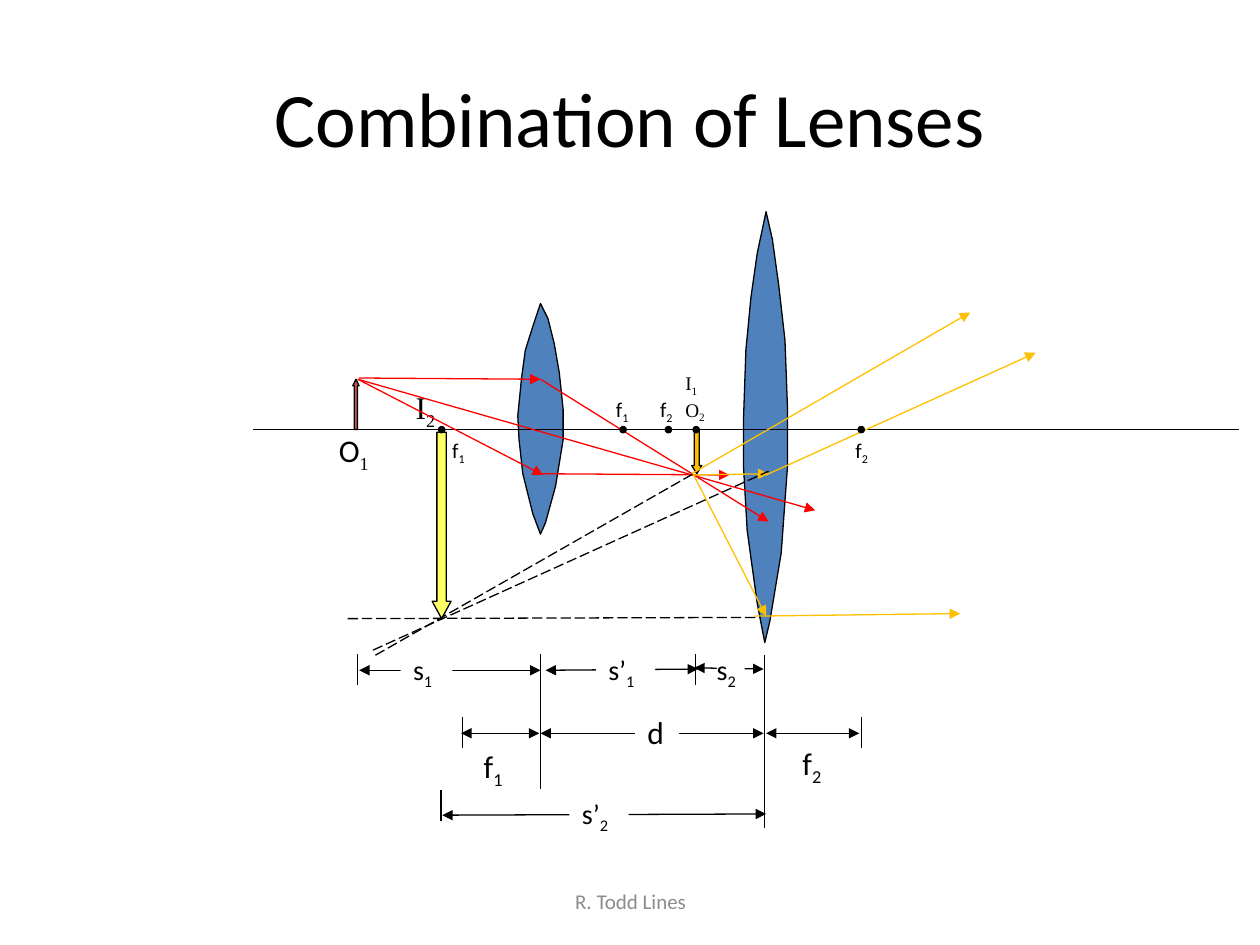
from pptx import Presentation
from pptx import util as u
from pptx.dml.color import RGBColor
from pptx.enum import dml, shapes, text
from pptx.oxml import ns
from lxml import etree

COLUMNS, ROWS = 100, 75
BLACK, WHITE, GREY = "000000", "FFFFFF", "8C8C8C"
RED, ORANGE, YELLOW = "FF0000", "FFC000", "FFFF66"
BROWN, BLUE = "C0504D", "4F81BD"
SANS, SERIF = "Calibri", "Times New Roman"
AXIS = 34.1


def color(value):
    return RGBColor.from_string(value)


class Diagram:
    """Draws on one slide; every length is in columns and rows of its grid."""

    def __init__(self, presentation):
        self.column = presentation.slide_width / COLUMNS
        self.row = presentation.slide_height / ROWS
        self.slide = presentation.slides.add_slide(presentation.slide_layouts[6])
        self.shapes = self.slide.shapes

    def place(self, *lengths):
        """Turn alternating columns and rows into slide units."""
        units = (self.column, self.row)
        return [u.Emu(round(length * units[i % 2])) for i, length in enumerate(lengths)]

    def outline(self, line, value=BLACK):
        line.color.rgb = color(value)
        line.width = u.Pt(0.75)

    def paint(self, shape, fill, outlined=True):
        shape.shadow.inherit = False
        shape.fill.solid()
        shape.fill.fore_color.rgb = color(fill)
        if outlined:
            self.outline(shape.line)
        else:
            shape.line.fill.background()
        return shape

    def preset(self, kind, box, fill, outlined=True):
        return self.paint(self.shapes.add_shape(kind, *self.place(*box)), fill, outlined)

    def arrow(self, kind, box, fill, head):
        self.preset(kind, box, fill).adjustments[1] = head

    def dot(self, x):
        self.preset(shapes.MSO_SHAPE.OVAL, (x - 0.25, AXIS - 0.25, 0.5, 0.5), BLACK)

    def lens(self, points):
        corners = [self.place(*point) for point in points]
        builder = self.shapes.build_freeform(*corners[0])
        builder.add_line_segments(corners[1:], close=True)
        self.paint(builder.convert_to_shape(), BLUE)

    def line(self, ends, value=BLACK, arrows=(), dashed=False):
        """arrows holds "headEnd" for the start and "tailEnd" for the finish."""
        connector = self.shapes.add_connector(
            shapes.MSO_CONNECTOR.STRAIGHT, *self.place(*ends))
        self.outline(connector.line, value)
        if dashed:
            connector.line.dash_style = dml.MSO_LINE.LONG_DASH
        properties = connector.element.spPr
        for end in arrows:
            etree.SubElement(properties.find(ns.qn("a:ln")), ns.qn("a:" + end), type="triangle")
        etree.SubElement(properties, ns.qn("a:effectLst"))

    def ray(self, *ends, value):
        self.line(ends, value, ["tailEnd"])

    def dimension(self, *ends):
        self.line(ends, arrows=["headEnd", "tailEnd"])

    def label(self, content, box, size, font=SANS, subscript_font=None, value=BLACK,
              fill=None, wrap=False, centered=False):
        """Write content, where the character after each "_" is a subscript."""
        shape = self.shapes.add_textbox(*self.place(*box))
        if fill:
            self.paint(shape, fill, outlined=False)
        frame = shape.text_frame
        frame.word_wrap = wrap
        paragraph = frame.paragraphs[0]
        if centered:
            frame.vertical_anchor = text.MSO_ANCHOR.MIDDLE
            paragraph.alignment = text.PP_ALIGN.CENTER
        paragraph.font.size = u.Pt(size)
        paragraph.font.name = font
        paragraph.font.color.rgb = color(value)
        first, *rest = content.split("_")
        paragraph.add_run().text = first
        for piece in rest:
            subscript = paragraph.add_run()
            subscript.text = piece[0]
            subscript.font._element.set("baseline", "-25000")
            if subscript_font:
                subscript.font.name = subscript_font
            if piece[1:]:
                paragraph.add_run().text = piece[1:]


def draw_lenses(diagram):
    diagram.lens([
        (60.8, 16.8), (60.1, 20.1), (59.6, 23.6), (59.2, 27.8), (59, 33.5), (59, 36.9),
        (59.3, 42.1), (60.1, 47.9), (60.7, 51), (61.1, 49.3), (62, 43.9), (62.5, 37),
        (62.5, 32.4), (62.3, 27), (61.8, 22.6), (61.3, 19)])
    diagram.lens([
        (42.9, 24.1), (42.3, 25.9), (41.7, 27.8), (41.4, 30), (41.1, 33), (41.2, 34.9),
        (41.5, 37.6), (42.3, 40.8), (42.9, 42.4), (43.3, 41.5), (44.1, 38.6), (44.7, 34.9),
        (44.7, 32.5), (44.4, 29.6), (44, 27.3), (43.5, 25.3)])
    diagram.line((20.1, AXIS, 98.3, AXIS))


def draw_rays(diagram):
    up, down = shapes.MSO_SHAPE.UP_ARROW, shapes.MSO_SHAPE.DOWN_ARROW
    diagram.ray(28.5, 30, 42.9, 30.1, value=RED)
    diagram.ray(28.4, 30.1, 43.1, 37.7, value=RED)
    diagram.ray(42.9, 30.1, 61, 41.4, value=RED)
    diagram.arrow(up, (28, 30.1, 0.5, 4), BROWN, 1.04)
    diagram.arrow(down, (54.9, 34.2, 0.8, 3.4), ORANGE, 0.81)
    diagram.ray(28.4, 30.1, 64.7, 40.5, value=RED)
    diagram.ray(43, 37.6, 57.9, 37.7, value=RED)
    for ends in [(59.9, 48.9, 76.2, 48.7), (60.8, 37.7, 82.2, 28), (54.9, 37.6, 77, 24.8),
                 (55, 37.6, 60.8, 48.9), (54.9, 37.7, 61, 37.6)]:
        diagram.ray(*ends, value=ORANGE)
    diagram.arrow(down, (34.3, 34.3, 1.5, 14.8), YELLOW, 0.92)
    for x in (35.05, 49.45, 53.05, 55.25, 68.35):
        diagram.dot(x)
    for ends in [(29.6, 51.6, 61, 37.4), (29.8, 52, 55.2, 37.5), (27.6, 49.1, 60.4, 49)]:
        diagram.line(ends, dashed=True)


def draw_dimensions(diagram):
    for x, top, bottom in [(28.4, 51.9, 54.4), (35, 62.7, 65.2), (42.9, 51.9, 62.6),
                           (36.7, 56.9, 59.4), (55.2, 51.9, 54.4), (60.7, 52, 65.7),
                           (68.4, 56.9, 59.4)]:
        diagram.line((x, top, x, bottom))
    for ends in [(28.5, 53.2, 42.9, 53.2), (43.3, 53.2, 55.4, 53.1), (55.1, 53, 60.6, 53.1),
                 (36.6, 58.2, 42.8, 58.2), (42.9, 58.2, 60.6, 58.2), (60.8, 58.2, 68.2, 58.2),
                 (35.1, 64.7, 60.8, 64.6)]:
        diagram.dimension(*ends)
    diagram.preset(shapes.MSO_SHAPE.RECTANGLE, (56.9, 51.5, 2.2, 2.8), WHITE, outlined=False)
    for content, box, size in [
            ("s_1", (31.8, 51.3, 4.1, 3.7), 16), ("s’_1", (47.3, 51.3, 4.7, 3.7), 16),
            ("f_1", (37.4, 58.8, 3.8, 4), 18), ("f_2", (62.7, 58.6, 3.8, 4), 18),
            ("d", (50.4, 56.1, 3.5, 4), 18), ("s’_2", (45.2, 62.7, 4.7, 3.7), 16)]:
        diagram.label(content, box, size, fill=WHITE)
    diagram.label("s_2", (55.9, 51.3, 4.6, 3.7), 16, wrap=True)


def draw_labels(diagram):
    diagram.label("Combination of Lenses", (5, 3, 90, 12.5), 44, wrap=True, centered=True)
    diagram.label("R. Todd Lines", (34.2, 69.5, 31.7, 4), 12, value=GREY,
                  wrap=True, centered=True)
    diagram.label("I_2", (32, 30.3, 3.8, 4), 18, font=SERIF)
    for content, x, y in [("f_2", 66.9, 34.2), ("f_2", 51.4, 31),
                          ("f_1", 34.9, 34.2), ("f_1", 47.9, 31)]:
        diagram.label(content, (x, y, 3.2, 3), 12)
    diagram.label("O_1", (25.9, 33.7, 4.8, 4), 18, subscript_font=SERIF)
    diagram.label("I_1 O_2", (53.4, 29, 4.2, 4.7), 11, font=SERIF, wrap=True)


def main():
    presentation = Presentation()
    presentation.slide_width, presentation.slide_height = u.Inches(10), u.Inches(7.5)
    diagram = Diagram(presentation)
    draw_labels(diagram)
    draw_lenses(diagram)
    draw_rays(diagram)
    draw_dimensions(diagram)
    presentation.save("out.pptx")


if __name__ == "__main__":
    main()
